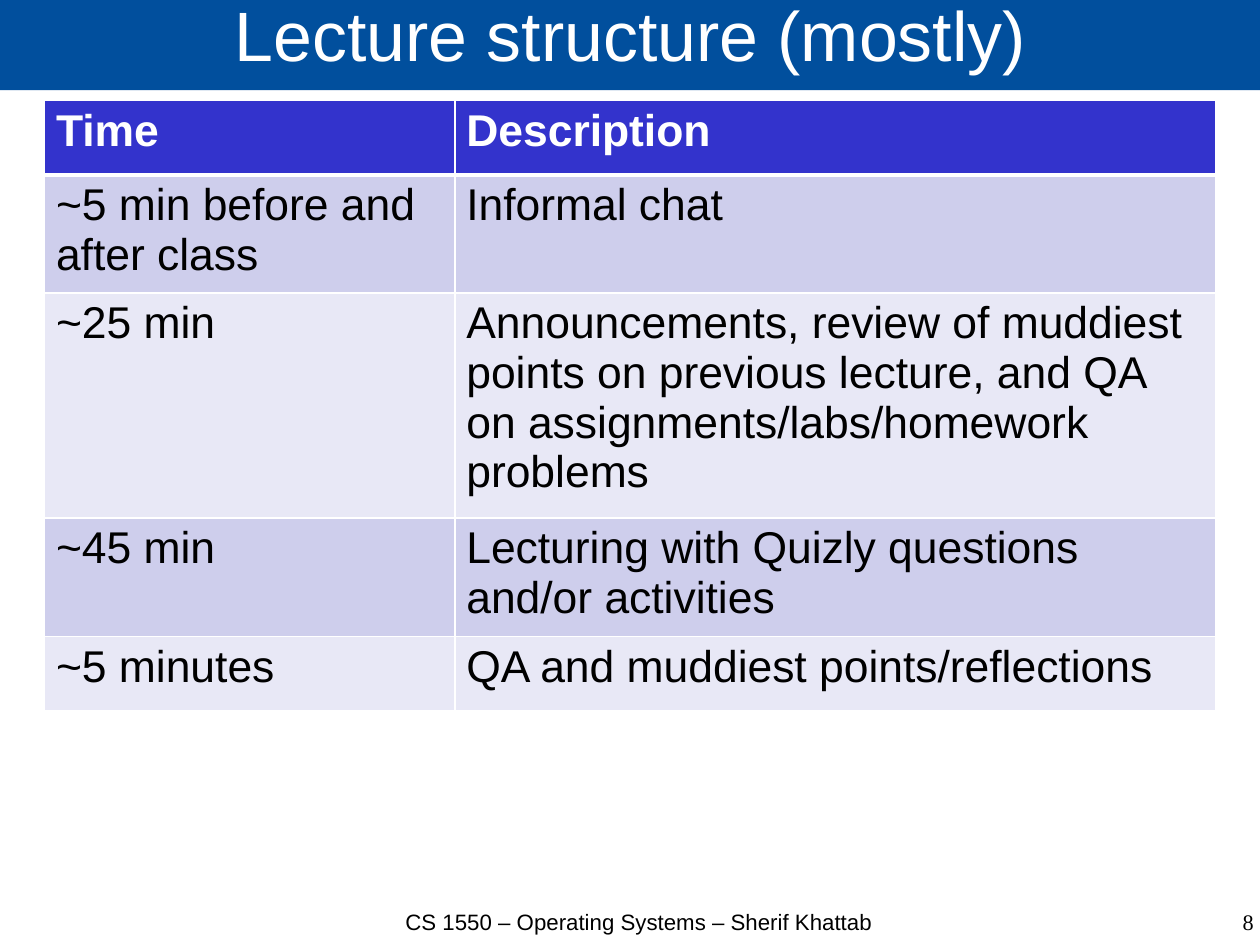
from lxml.etree import SubElement
from pptx import Presentation
from pptx.dml.color import RGBColor
from pptx.enum.text import MSO_ANCHOR as Anchor, PP_ALIGN as Align
from pptx.oxml.ns import qn
from pptx.util import Inches, Pt

CM_PER_INCH = 2.54
PAGE_CM = (28, 21)
WHITE, BLACK = "FFFFFF", "000000"
TITLE_BLUE, HEADER_BLUE = "014F9D", "3333CC"
BANDS = ["CECEEC", "E8E8F6"]
COLUMN_WIDTHS = [3.59, 6.66]
ROW_HEIGHTS = [0.65, 0.65, 1.61, 0.65, 0.65]
SCHEDULE = [
    ("Time", "Description"),
    ("~5 min before and after class", "Informal chat"),
    ("~25 min", "Announcements, review of muddiest points on previous lecture, "
                "and QA on assignments/labs/homework problems"),
    ("~45 min", "Lecturing with Quizly questions and/or activities"),
    ("~5 minutes", "QA and muddiest points/reflections"),
]


def color(hex_string):
    """Turn a hex string into a colour."""
    return RGBColor.from_string(hex_string)


def paint(target, hex_string):
    """Fill a shape or a cell with one colour."""
    target.fill.solid()
    target.fill.fore_color.rgb = color(hex_string)


def write(frame, text, size=14, font="Arial", ink=BLACK, bold=False,
          align=Align.LEFT, spacing=1.0):
    """Write one formatted paragraph into a text frame."""
    frame.word_wrap = True
    para = frame.paragraphs[0]
    para.alignment = align
    para.line_spacing = spacing
    para.space_before = Pt(0)
    span = para.add_run()
    span.text = text
    span.font.size, span.font.name, span.font.bold = Pt(size), font, bold
    span.font.color.rgb = color(ink)


def clear_margins(frame):
    """Remove the inner margins of a text frame."""
    frame.margin_left = frame.margin_top = 0
    frame.margin_right = frame.margin_bottom = 0


def add_title(page, left, top, width, height):
    """Place the title band."""
    title = page.shapes.title
    title.left, title.top = Inches(left), Inches(top)
    title.width, title.height = Inches(width), Inches(height)
    paint(title, TITLE_BLUE)
    clear_margins(title.text_frame)
    title.text_frame.vertical_anchor = Anchor.MIDDLE
    write(title.text_frame, "Lecture structure (mostly)", size=44, ink=WHITE,
          align=Align.CENTER, spacing=0.69)


def add_borders(cell, bottom):
    """Draw white borders round a cell, with the given bottom width."""
    properties = cell._tc.get_or_add_tcPr()
    widths = {"a:lnL": 1, "a:lnR": 1, "a:lnT": 1, "a:lnB": bottom}
    for index, (tag, width) in enumerate(widths.items()):
        line = SubElement(properties, qn(tag), w=str(Pt(width)))
        SubElement(SubElement(line, qn("a:solidFill")), qn("a:srgbClr"), val=WHITE)
        properties.insert(index, line)


def add_schedule(page, left, top, height):
    """Place the table of lecture parts."""
    holder = page.shapes.add_table(
        len(SCHEDULE), len(COLUMN_WIDTHS), Inches(left), Inches(top),
        Inches(sum(COLUMN_WIDTHS)), Inches(height))
    table = holder.table
    for column, column_width in zip(table.columns, COLUMN_WIDTHS):
        column.width = Inches(column_width)
    for index, (row, row_height, texts) in enumerate(zip(table.rows, ROW_HEIGHTS, SCHEDULE)):
        row.height = Inches(row_height)
        header = index == 0
        for cell, text in zip(row.cells, texts):
            paint(cell, HEADER_BLUE if header else BANDS[(index - 1) % 2])
            add_borders(cell, bottom=3 if header else 1)
            write(cell.text_frame, text, size=28, bold=header,
                  ink=WHITE if header else BLACK)
    holder.height = Inches(height)


def add_footer(page, left, top, width, height, text, **style):
    """Place one footer text."""
    box = page.shapes.add_textbox(Inches(left), Inches(top), Inches(width), Inches(height))
    clear_margins(box.text_frame)
    write(box.text_frame, text, spacing=0.96, **style)


def main():
    """Build and save the deck."""
    deck = Presentation()
    deck.slide_width, deck.slide_height = (Inches(side / CM_PER_INCH) for side in PAGE_CM)
    page = deck.slides.add_slide(deck.slide_layouts[5])
    add_title(page, 0, -0.02, 11.04, 0.81)
    add_footer(page, 3.07, 7.96, 5.04, 0.55,
               "CS 1550 – Operating Systems – Sherif Khattab", align=Align.CENTER)
    add_footer(page, 8.44, 7.96, 2.53, 0.55, "8",
               font="Times New Roman", align=Align.RIGHT)
    add_schedule(page, 0.39, 0.88, 5.34)
    deck.save("out.pptx")


if __name__ == "__main__":
    main()
